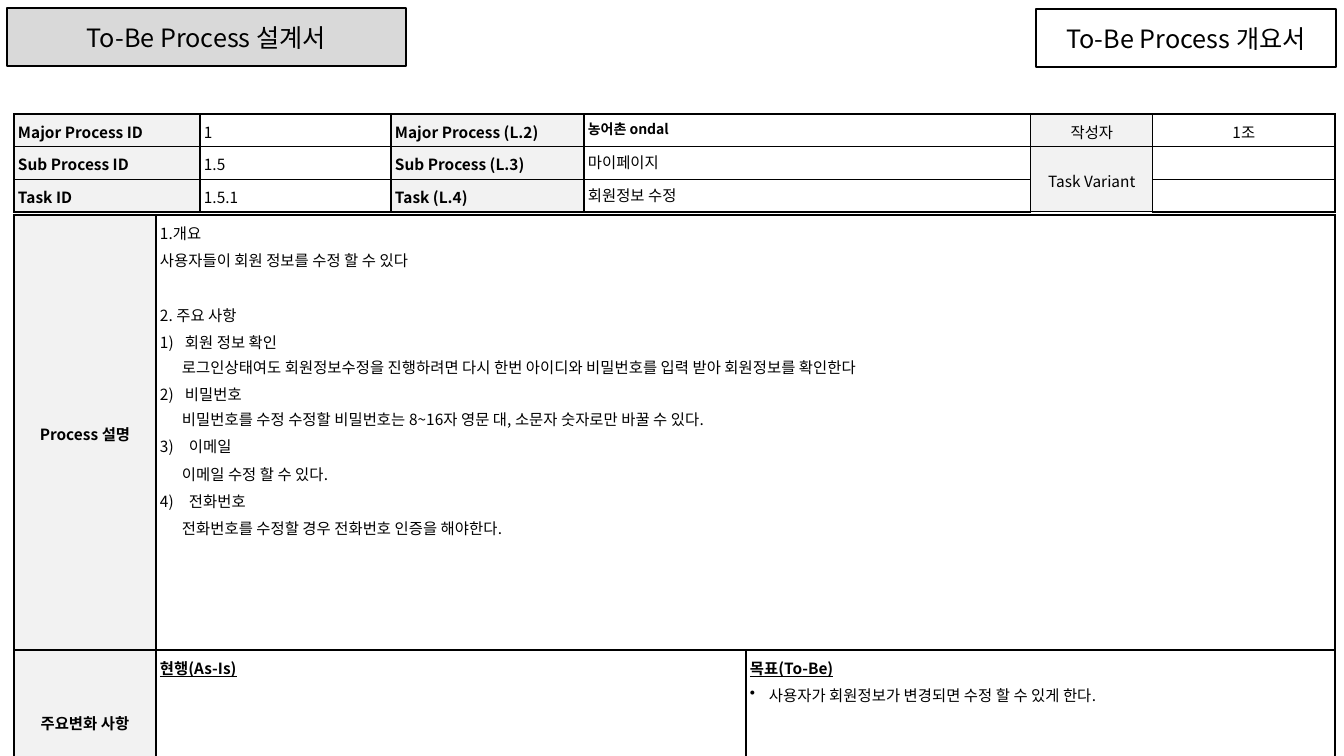
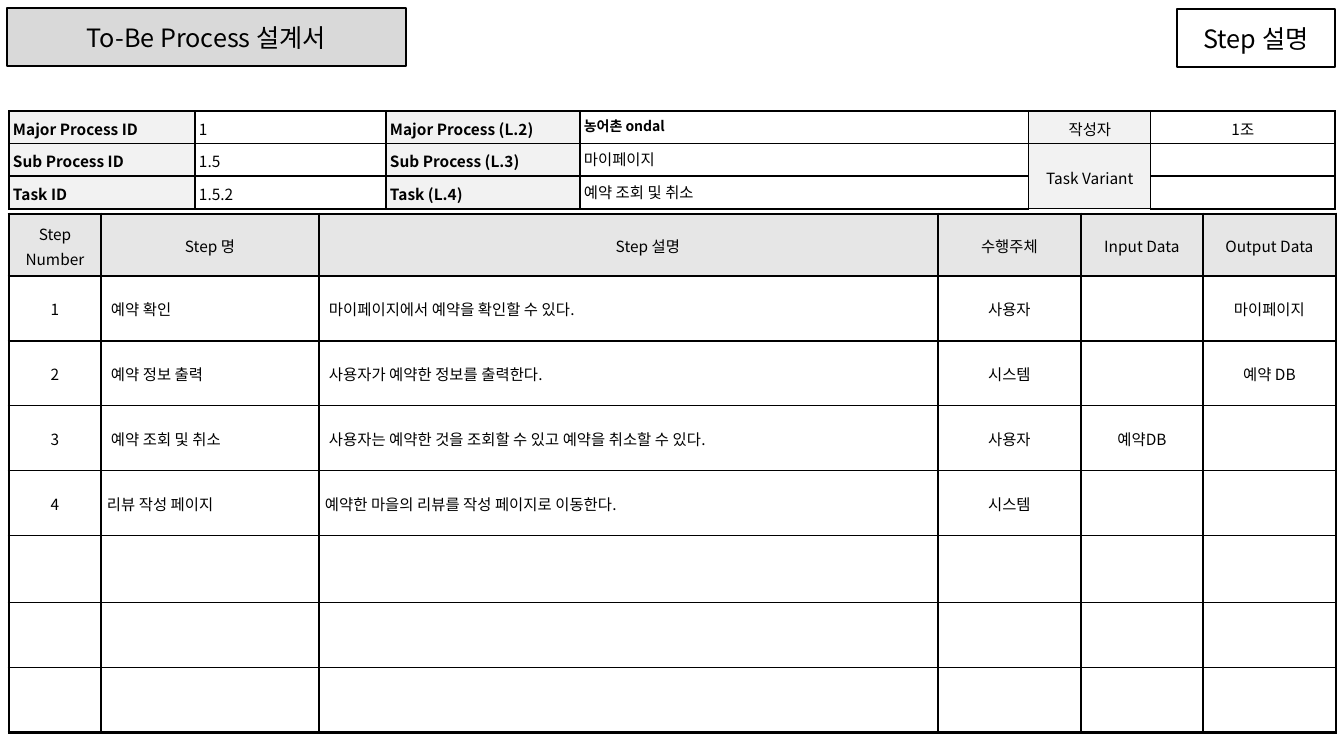
from lxml import etree
from pptx import Presentation
from pptx import util as u
from pptx.dml.color import RGBColor
from pptx.enum import shapes, text
from pptx.oxml.ns import qn

PX = 914400 / 100.8
FONT = "Noto Sans CJK KR"
HUE = {"ink": "000000", "band": "D9D9D9", "head": "E6E6E6",
       "label": "F2F2F2", "paper": "FFFFFF"}
MID = text.PP_ALIGN.CENTER
LEFT = text.PP_ALIGN.LEFT


def write(para, words, size=11, bold=False, align=LEFT, lead=1.1):
    para.text = words
    para.alignment = align
    para.line_spacing = lead
    font = para.font
    font.size, font.bold, font.name = u.Pt(size), bold, FONT
    font.color.rgb = RGBColor.from_string(HUE["ink"])
    base = para._p.pPr.find(qn("a:defRPr"))
    base.find(qn("a:latin")).addnext(
        base.makeelement(qn("a:ea"), {"typeface": FONT}))
    if not words:
        etree.SubElement(para._p, qn("a:endParaRPr"), sz=str(size * 100))


def grid(slide, left, top, cols, rows, rim, pad):
    """Add a white table with a heavier outer rim."""
    frame = slide.shapes.add_table(
        len(rows), len(cols), *(round(n * PX) for n in (left, top, sum(cols), sum(rows))))
    table = frame.table
    table.first_row = table.horz_banding = False
    for col, wide in zip(table.columns, cols):
        col.width = round(wide * PX)
    for row, high in zip(table.rows, rows):
        row.height = round(high * PX)
    for r in range(len(rows)):
        for c in range(len(cols)):
            cell = table.cell(r, c)
            cell.margin_left = cell.margin_right = round(pad * PX)
            cell.margin_top = cell.margin_bottom = round(4 * PX)
            props = cell._tc.get_or_add_tcPr()
            outer = {"L": c == 0, "R": c == len(cols) - 1,
                     "T": r == 0, "B": r == len(rows) - 1}
            for side, out in outer.items():
                line = etree.SubElement(props, qn("a:ln" + side),
                                        w=str(u.Pt(rim if out else 1)))
                fill = etree.SubElement(line, qn("a:solidFill"))
                etree.SubElement(fill, qn("a:srgbClr"), val=HUE["ink"])
            cell.fill.solid()
            cell.fill.fore_color.rgb = RGBColor.from_string(HUE["paper"])
    return table


deck = Presentation()
deck.slide_width, deck.slide_height = round(1344 * PX), round(756 * PX)

# Shared parts: title boxes and the process header table
pages = [
    ("To-Be Process 개요서", 1036, 300, 14, 114,
     [186, 191, 193, 447, 122, 182], "1.5.1", "회원정보 수정"),
    ("Step 설명", 1177, 158, 9, 111,
     [186, 191, 194, 449, 122, 184], "1.5.2", "예약 조회 및 취소"),
]
made = []
for name, left, wide, edge, top, cols, code, task in pages:
    slide = deck.slides.add_slide(deck.slide_layouts[6])
    boxes = [("To-Be Process 설계서", 7, 8, 399, "band"),
             (name, left, 9, wide, None)]
    for words, x, y, w, hue in boxes:
        box = slide.shapes.add_shape(
            shapes.MSO_SHAPE.RECTANGLE, *(round(n * PX) for n in (x, y, w, 58)))
        box.shadow.inherit = False
        if hue:
            box.fill.solid()
            box.fill.fore_color.rgb = RGBColor.from_string(HUE[hue])
        else:
            box.fill.background()
        box.line.color.rgb = RGBColor.from_string(HUE["ink"])
        box.line.width = u.Pt(1)
        write(box.text_frame.paragraphs[0], words, 18, align=MID, lead=1.0)

    head = grid(slide, edge, top, cols, [31] * 3, 1.5, 4)
    facts = [
        ("Major Process ID", "1", "Major Process (L.2)", "농어촌 ondal", "작성자", "1조"),
        ("Sub Process ID", "1.5", "Sub Process (L.3)", "마이페이지", "Task Variant", ""),
        ("Task ID", code, "Task (L.4)", task, "", ""),
    ]
    for r, row in enumerate(facts):
        for c, words in enumerate(row):
            cell = head.cell(r, c)
            main = (r, c) == (0, 3)
            write(cell.text_frame.paragraphs[0], words, 10 if main else 11,
                  c in (0, 2) or main, MID if c > 3 else LEFT, 1.0 if c == 3 else 1.1)
            if c > 3:
                cell.vertical_anchor = text.MSO_ANCHOR.MIDDLE
            if c in (0, 2, 4):
                cell.fill.fore_color.rgb = RGBColor.from_string(HUE["label"])
    head.cell(1, 4).merge(head.cell(2, 4))
    made.append((slide, head))

# Slide 1: process description and changes
slide = made[0][0]
plan = grid(slide, 14, 215, [142, 590, 589], [435, 143], 1.5, 4)
for r, words in enumerate(["Process 설명", "주요변화 사항"]):
    cell = plan.cell(r, 0)
    cell.vertical_anchor = text.MSO_ANCHOR.MIDDLE
    cell.fill.fore_color.rgb = RGBColor.from_string(HUE["label"])
    write(cell.text_frame.paragraphs[0], words, bold=True, align=MID)
plan.cell(0, 1).merge(plan.cell(0, 2))

# Words, space before in points, indent and tab stop in px
notes = [
    ("1.개요", 0, 0, 0),
    ("사용자들이 회원 정보를 수정 할 수 있다", 2, 0, 0),
    ("2. 주요 사항", 21.6, 0, 0),
    ("1)\t회원 정보 확인", 2, 0, 25),
    ("로그인상태여도 회원정보수정을 진행하려면 다시 한번 아이디와 비밀번호를 입력 받아 회원정보를 확인한다", 0, 22, 0),
    ("2)\t비밀번호", 2, 0, 25),
    ("비밀번호를 수정 수정할 비밀번호는 8~16자 영문 대, 소문자 숫자로만 바꿀 수 있다.", 0, 22, 0),
    ("3)\t이메일", 2, 0, 29),
    ("이메일 수정 할 수 있다.", 2, 22, 0),
    ("4)\t전화번호", 2, 0, 29),
    ("전화번호를 수정할 경우 전화번호 인증을 해야한다.", 2, 22, 0),
]
frame = plan.cell(0, 1).text_frame
for i, (words, gap, dent, stop) in enumerate(notes):
    para = frame.add_paragraph() if i else frame.paragraphs[0]
    props = para._p.get_or_add_pPr()
    if dent:
        props.set("marL", str(round(dent * PX)))
    if stop:
        tabs = etree.SubElement(props, qn("a:tabLst"))
        etree.SubElement(tabs, qn("a:tab"), pos=str(round(stop * PX)), algn="l")
    write(para, words)
    para.space_before = u.Pt(gap)

for c, words in enumerate(["현행(As-Is)", "목표(To-Be)"], 1):
    para = plan.cell(1, c).text_frame.paragraphs[0]
    write(para, words, bold=True)
    para.font.underline = True
para = plan.cell(1, 2).text_frame.add_paragraph()
props = para._p.get_or_add_pPr()
props.set("marL", str(round(19 * PX)))
props.set("indent", str(round(-19 * PX)))
etree.SubElement(props, qn("a:buChar"), char="•")
write(para, "사용자가 회원정보가 변경되면 수정 할 수 있게 한다.")
para.space_before = u.Pt(2.2)

# Slide 2: heavier rule under the author cells
slide, head = made[1]
for c in (4, 5):
    for r, side in ((0, "B"), (1, "T")):
        line = head.cell(r, c)._tc.tcPr.find(qn("a:ln" + side))
        line.set("w", str(u.Pt(1.5)))

# Slide 2: step table
steps = [
    ("Step Number", "Step 명", "Step 설명", "수행주체", "Input Data", "Output Data"),
    ("1", "예약 확인", "마이페이지에서 예약을 확인할 수 있다.", "사용자", "", "마이페이지"),
    ("2", "예약 정보 출력", "사용자가 예약한 정보를 출력한다.", "시스템", "", "예약 DB"),
    ("3", "예약 조회 및 취소", "사용자는 예약한 것을 조회할 수 있고 예약을 취소할 수 있다.",
     "사용자", "예약DB", ""),
    ("4", "리뷰 작성 페이지", "예약한 마을의 리뷰를 작성 페이지로 이동한다.", "시스템", "", ""),
] + [("",) * 6] * 3
table = grid(slide, 9, 214, [92, 218, 619, 143, 122, 133],
             [62] + [65] * 4 + [67] + [65] * 2, 2.25, 6)
for r, row in enumerate(steps):
    for c, words in enumerate(row):
        cell = table.cell(r, c)
        cell.vertical_anchor = text.MSO_ANCHOR.MIDDLE
        para = cell.text_frame.paragraphs[0]
        body = r > 0 and c in (1, 2)
        write(para, words, align=LEFT if body else MID, lead=1.0 if r else 1.1)
        if r == 0:
            cell.fill.fore_color.rgb = RGBColor.from_string(HUE["head"])
        if body and r < 4:
            cell.margin_left = round(10 * PX)
table.cell(0, 2).text_frame.paragraphs[0]._p.pPr.set("marL", str(round(39 * PX)))

deck.save("out.pptx")
